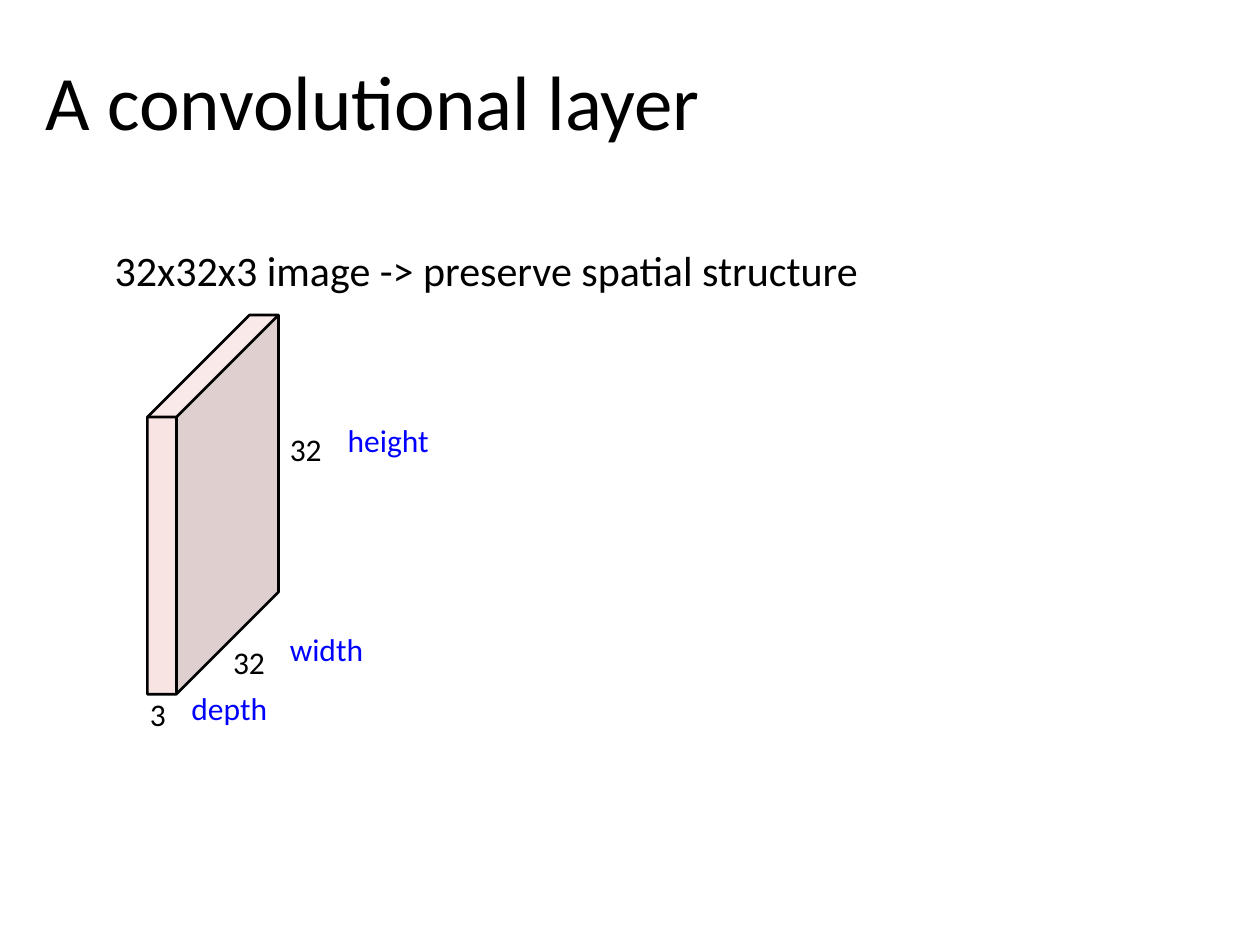
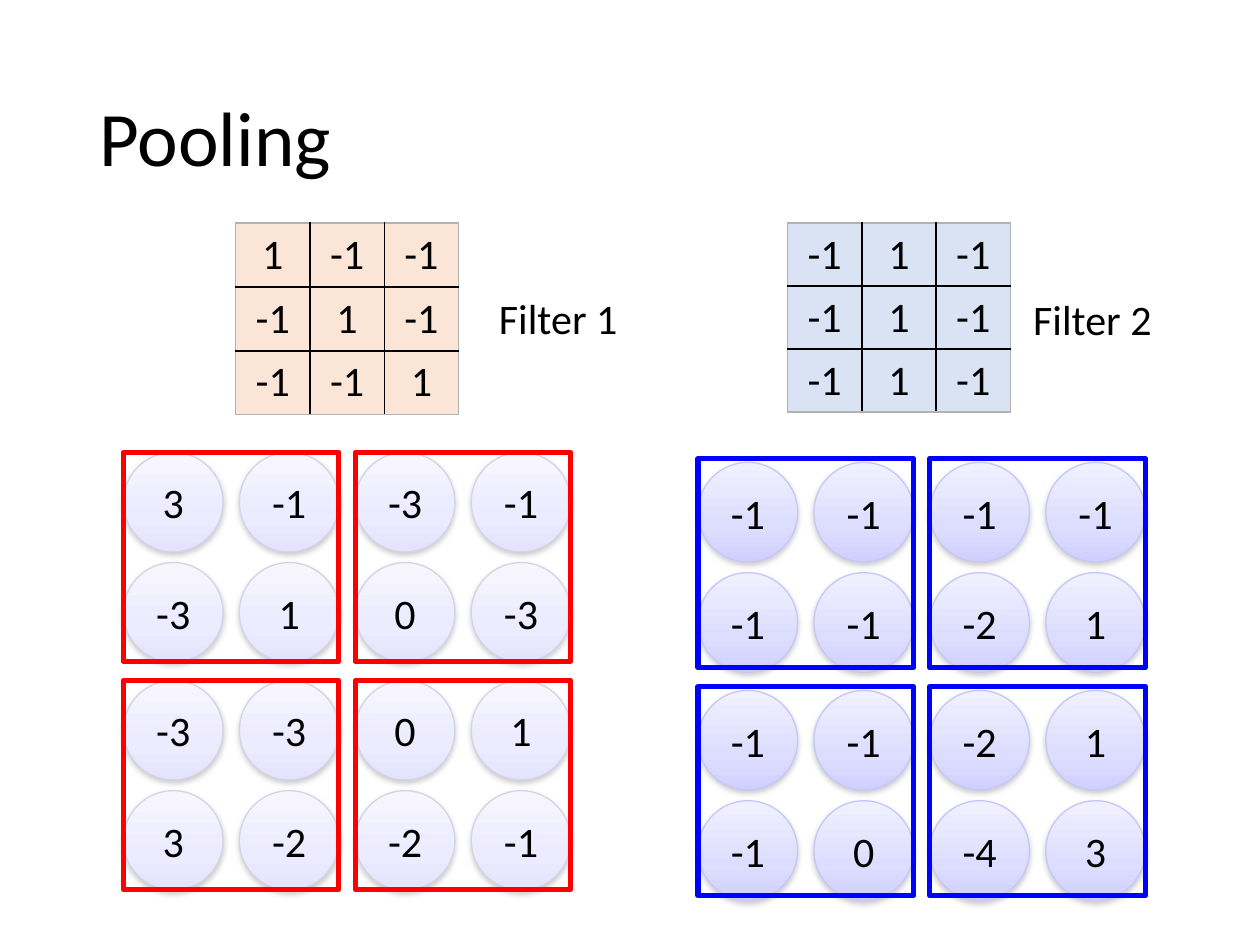
from copy import deepcopy

from lxml.etree import SubElement
from pptx import Presentation
from pptx.dml.color import RGBColor as RGB
from pptx.enum.shapes import MSO_CONNECTOR as CONN, MSO_SHAPE as SHAPE
from pptx.enum.text import MSO_ANCHOR as ANCHOR, MSO_AUTO_SIZE as AUTO, PP_ALIGN as ALIGN
from pptx.oxml.ns import qn
from pptx.util import Emu, Inches, Pt

C = {
    "black": "000000", "blue": "0000FF", "red": "FF0000", "grey": "B2B2B2",
    "front": "F4CCCC", "side": "C3A3A3", "top": "F6D6D6",
    "peach": "FBE5D6", "sky": "DAE3F3", "shadow": "808080",
}
FONT = "Calibri"
PALE = dict(stops=["F7F6FF", "ECEBFF", "E5E3FF"], line="D4D3E7")
DEEP = dict(stops=["F0F0FF", "DDDDFF", "D0D0FF"], line="C6C6FB")

prs = Presentation()
prs.slide_width, prs.slide_height = Inches(10), Inches(7.5)
UNIT = prs.slide_width / 100  # the slide is a grid of 100 columns by 75 rows


def grid(*cells):
    """Turn grid columns and rows into slide lengths."""
    return [Emu(round(n * UNIT)) for n in cells]


def write(tf, text, size=24, color="black", align=ALIGN.LEFT, anchor=ANCHOR.TOP,
          inset=None, indent=0, before=None, spacing=None, wrap=True):
    """Fill the first empty paragraph of a text frame, or add one."""
    p = tf.add_paragraph() if tf.text else tf.paragraphs[0]
    r = p.add_run()
    r.text = text
    r.font.name, r.font.size, r.font.bold = FONT, Pt(size), False
    r.font.color.rgb = RGB.from_string(C[color])
    p.alignment, p.line_spacing = align, spacing
    if before:
        p.space_before = Pt(before)
    if indent:
        p._p.get_or_add_pPr().set("marL", str(grid(indent)[0]))
    tf.vertical_anchor, tf.word_wrap = anchor, wrap
    if inset:
        tf.margin_left, tf.margin_top, tf.margin_right, tf.margin_bottom = grid(*inset)


# Both slides: a title on the left
slides = []
for title, place in [("A convolutional layer", (2.6, 1.1, 86.2, 14.5)),
                     ("Pooling", (6.9, 4, 86.2, 14.5))]:
    s = prs.slides.add_slide(prs.slide_layouts[5])
    sp = s.shapes.title
    sp.left, sp.top, sp.width, sp.height = grid(*place)
    write(sp.text_frame, title, size=44, anchor=ANCHOR.MIDDLE, spacing=0.9)
    sp.text_frame.auto_size = AUTO.NONE
    slides.append(s)
layer, pooling = slides

# Slide 1: the image volume
LEFT, EDGE, UPPER, LOWER, SLANT = 11.7, 14, 33.1, 55.1, 8.1
front_top_left, front_top_right = (LEFT, UPPER), (EDGE, UPPER)
front_low_left, front_low_right = (LEFT, LOWER), (EDGE, LOWER)
back_top_left = (LEFT + SLANT, UPPER - SLANT)
back_top_right = (EDGE + SLANT, UPPER - SLANT)
back_low_right = (EDGE + SLANT, LOWER - SLANT)

faces = [
    ("front", [front_top_left, front_top_right, front_low_right, front_low_left]),
    ("side", [front_low_right, front_top_right, back_top_right, back_low_right]),
    ("top", [front_top_right, front_top_left, back_top_left, back_top_right]),
    (None, [front_top_left, back_top_left, back_top_right, back_low_right,
            front_low_right, front_low_left]),
    (None, [front_top_left, front_top_right, back_top_right]),
]
for fill, points in faces:
    start, *rest = [grid(*pt) for pt in points]
    builder = layer.shapes.build_freeform(*start, scale=1.0)
    builder.add_line_segments(rest, close=len(points) > 3)
    sp = builder.convert_to_shape()
    sp.shadow.inherit = False
    if fill:
        sp.fill.solid()
        sp.fill.fore_color.rgb = RGB.from_string(C[fill])
        SubElement(sp._element.spPr.find(".//" + qn("a:srgbClr")), qn("a:alpha"), val="52000")
        sp.line.fill.background()
    else:
        sp.fill.background()
        sp.line.color.rgb = RGB.from_string(C["black"])
        sp.line.width = Pt(1.5)

edge = layer.shapes.add_connector(CONN.STRAIGHT, *grid(*front_top_right, *front_low_right))
edge.line.color.rgb = RGB.from_string(C["black"])
edge.line.width = Pt(1.5)
SubElement(edge._element.spPr, qn("a:effectLst"))

TIGHT = (0.1, 0.1, 0, 0)
for text, place, size, color in [
    ("32", (22.9, 34, 3.1, 3.3), 18, "black"),
    ("3", (11.8, 55.1, 1.7, 3.3), 18, "black"),
    ("32x32x3 image -> preserve spatial structure", (9, 19.3, 65.2, 4.3), 24, "black"),
    ("width", (22.9, 49.9, 6.1, 3.3), 18, "blue"),
    ("height", (27.5, 33.3, 7.1, 3.3), 18, "blue"),
]:
    tf = layer.shapes.add_textbox(*grid(*place)).text_frame
    write(tf, text, size=size, color=color, inset=TIGHT)

tf = layer.shapes.add_textbox(*grid(15.1, 50.2, 6.5, 7.6)).text_frame
write(tf, "32", size=18, indent=3.3, inset=(0.1, 0.8, 0, 0))
write(tf, "depth", size=18, color="blue", before=4.8)

# Slide 2: each filter with its feature map and 2 x 2 pooling windows
CELL_W, CELL_H = 5.9, 5
DOT, DOT_DX, DOT_DY = 7.9, 9.2, 8.75
WINDOW_W, WINDOW_H, WINDOW_DX, WINDOW_DY = 17.1, 16.6, 18.4, 18.1
filters = [
    dict(name="Filter 1", name_at=(36.4, 22.7), table_x=18.7, fill="peach",
         weights=[[1, -1, -1], [-1, 1, -1], [-1, -1, 1]],
         map=[[3, -1, -3, -1], [-3, 1, 0, -3], [-3, -3, 0, 1], [3, -2, -2, -1]],
         x=9.8, dots_y=35.9, windows_y=35.9, dot=PALE, frame="red"),
    dict(name="Filter 2", name_at=(78.8, 22.8), table_x=62.5, fill="sky",
         weights=[[-1, 1, -1]] * 3,
         map=[[-1, -1, -1, -1], [-1, -1, -2, 1], [-1, -1, -2, 1], [-1, 0, -4, 3]],
         x=55.4, dots_y=36.7, windows_y=36.4, dot=DEEP, frame="blue"),
]
for f in filters:
    frame = pooling.shapes.add_table(3, 3, *grid(f["table_x"], 17.7, 3 * CELL_W, 3 * CELL_H))
    table = frame.table
    for i in range(3):
        table.columns[i].width, table.rows[i].height = grid(CELL_W, CELL_H)
        for j in range(3):
            cell = table.cell(i, j)
            write(cell.text_frame, str(f["weights"][i][j]), align=ALIGN.CENTER)
            tcPr = cell._tc.get_or_add_tcPr()
            for side, outer in [("L", j == 0), ("R", j == 2), ("T", i == 0), ("B", i == 2)]:
                ln = SubElement(tcPr, qn(f"a:ln{side}"), w=str(Pt(1)))
                color = C["grey" if outer else "black"]
                SubElement(SubElement(ln, qn("a:solidFill")), qn("a:srgbClr"), val=color)
            cell.fill.solid()
            cell.fill.fore_color.rgb = RGB.from_string(C[f["fill"]])

    name = pooling.shapes.add_textbox(*grid(*f["name_at"], 15.8, 5.1))
    write(name.text_frame, f["name"], align=ALIGN.CENTER)

    for i, row in enumerate(f["map"]):
        y = f["dots_y"] + i // 2 * WINDOW_DY + i % 2 * DOT_DY
        for j, value in enumerate(row):
            sp = pooling.shapes.add_shape(SHAPE.OVAL, *grid(f["x"] + j * DOT_DX, y, DOT, DOT))
            sp.fill.gradient()
            sp.fill.gradient_angle = 270
            stops = sp._element.spPr.find(".//" + qn("a:gsLst"))
            stops.insert(1, deepcopy(stops[0]))
            for stop, at, color in zip(sp.fill.gradient_stops, (0, 0.65, 1), f["dot"]["stops"]):
                stop.position = at
                stop.color.rgb = RGB.from_string(color)
            sp.line.color.rgb = RGB.from_string(f["dot"]["line"])
            sp.line.width = Pt(0.75)
            sp.shadow.inherit = False
            shadow = SubElement(sp._element.spPr.find(qn("a:effectLst")), qn("a:outerShdw"),
                                blurRad=str(Pt(3.1)), dist=str(Pt(1.6)), dir="5400000",
                                rotWithShape="0")
            tint = SubElement(shadow, qn("a:srgbClr"), val=C["shadow"])
            SubElement(tint, qn("a:alpha"), val="38000")
            write(sp.text_frame, str(value), align=ALIGN.CENTER, anchor=ANCHOR.MIDDLE, wrap=False)

    for i in range(2):
        for j in range(2):
            sp = pooling.shapes.add_shape(SHAPE.RECTANGLE, *grid(
                f["x"] + j * WINDOW_DX, f["windows_y"] + i * WINDOW_DY, WINDOW_W, WINDOW_H))
            sp.fill.background()
            sp.line.color.rgb = RGB.from_string(C[f["frame"]])
            sp.line.width = Pt(3)
            sp.shadow.inherit = False

prs.save("out.pptx")
